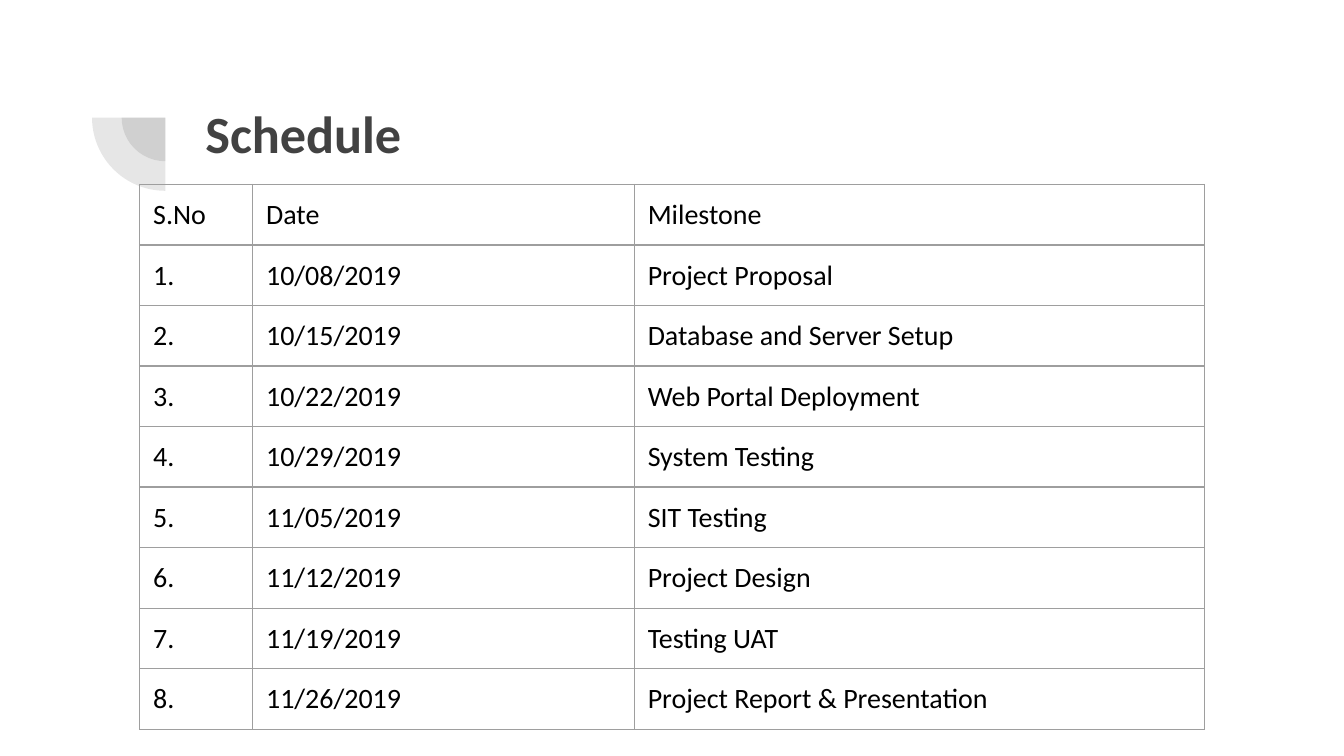
from lxml import etree
from pptx import Presentation
from pptx import util as u
from pptx.dml.color import RGBColor
from pptx.enum import shapes, text
from pptx.oxml import ns

DARK_GRAY = RGBColor(0x42, 0x42, 0x42)
BORDER_GRAY = RGBColor(0x9E, 0x9E, 0x9E)
BLACK = RGBColor(0, 0, 0)
FONT = "Calibri"

milestones = [
    ("S.No", "Date", "Milestone"),
    ("1.", "10/08/2019", "Project Proposal"),
    ("2.", "10/15/2019", "Database and Server Setup"),
    ("3.", "10/22/2019", "Web Portal Deployment"),
    ("4.", "10/29/2019", "System Testing"),
    ("5.", "11/05/2019", "SIT Testing"),
    ("6.", "11/12/2019", "Project Design"),
    ("7.", "11/19/2019", "Testing UAT"),
    ("8.", "11/26/2019", "Project Report & Presentation"),
]

deck = Presentation()
deck.slide_width = u.Inches(10)
deck.slide_height = u.Inches(5.625)
slide = deck.slides.add_slide(deck.slide_layouts[6])

# The slide is a grid of 100 columns by 100 rows
COLUMN = deck.slide_width / 100
ROW = deck.slide_height / 100


def set_text(frame, words, size, color, bold=False):
    frame.word_wrap = True
    para = frame.paragraphs[0]
    para.text = words
    para.font.name = FONT
    para.font.size = u.Pt(size)
    para.font.color.rgb = color
    para.font.bold = bold


def add_borders(cell):
    properties = cell._tc.get_or_add_tcPr()
    for side in ("a:lnL", "a:lnR", "a:lnT", "a:lnB"):
        line = etree.SubElement(properties, ns.qn(side), w=str(u.Pt(0.75)))
        fill = etree.SubElement(line, ns.qn("a:solidFill"))
        etree.SubElement(fill, ns.qn("a:srgbClr"), val=str(BORDER_GRAY))


# Two concentric translucent quarter circles beside the title
center_x, center_y = 12.3 * COLUMN, 15.55 * ROW
for diameter in (6.5 * COLUMN, 10.9 * COLUMN):
    quarter = slide.shapes.add_shape(
        shapes.MSO_SHAPE.PIE,
        int(center_x - diameter / 2), int(center_y - diameter / 2),
        int(diameter), int(diameter))
    quarter.adjustments[0] = 108
    quarter.adjustments[1] = 162
    quarter.rotation = 270
    quarter.shadow.inherit = False
    quarter.line.fill.background()
    quarter.fill.solid()
    quarter.fill.fore_color.rgb = DARK_GRAY
    color = quarter._element.spPr.find(".//" + ns.qn("a:srgbClr"))
    etree.SubElement(color, ns.qn("a:alpha"), val="13000")

title = slide.shapes.add_textbox(
    int(14.3 * COLUMN), int(11.6 * ROW), int(76.9 * COLUMN), int(19.4 * ROW))
frame = title.text_frame
frame.margin_left = frame.margin_right = u.Inches(0.1)
frame.margin_top = frame.margin_bottom = u.Inches(0.1)
frame.vertical_anchor = text.MSO_ANCHOR.TOP
set_text(frame, "Schedule", 28, DARK_GRAY, bold=True)

column_widths = (8.4, 28.4, 42.4)
row_height = 8
table = slide.shapes.add_table(
    len(milestones), len(column_widths),
    int(10.4 * COLUMN), int(24.4 * ROW),
    int(sum(column_widths) * COLUMN),
    int(len(milestones) * row_height * ROW)).table
table.first_row = False
table.horz_banding = False
for column, width in zip(table.columns, column_widths):
    column.width = int(width * COLUMN)

for row, entries in zip(table.rows, milestones):
    row.height = int(row_height * ROW)
    for cell, words in zip(row.cells, entries):
        cell.margin_left = cell.margin_right = u.Inches(0.1)
        cell.margin_top = cell.margin_bottom = u.Inches(0.1)
        add_borders(cell)
        cell.fill.background()
        set_text(cell.text_frame, words, 15, BLACK)

deck.save("out.pptx")
